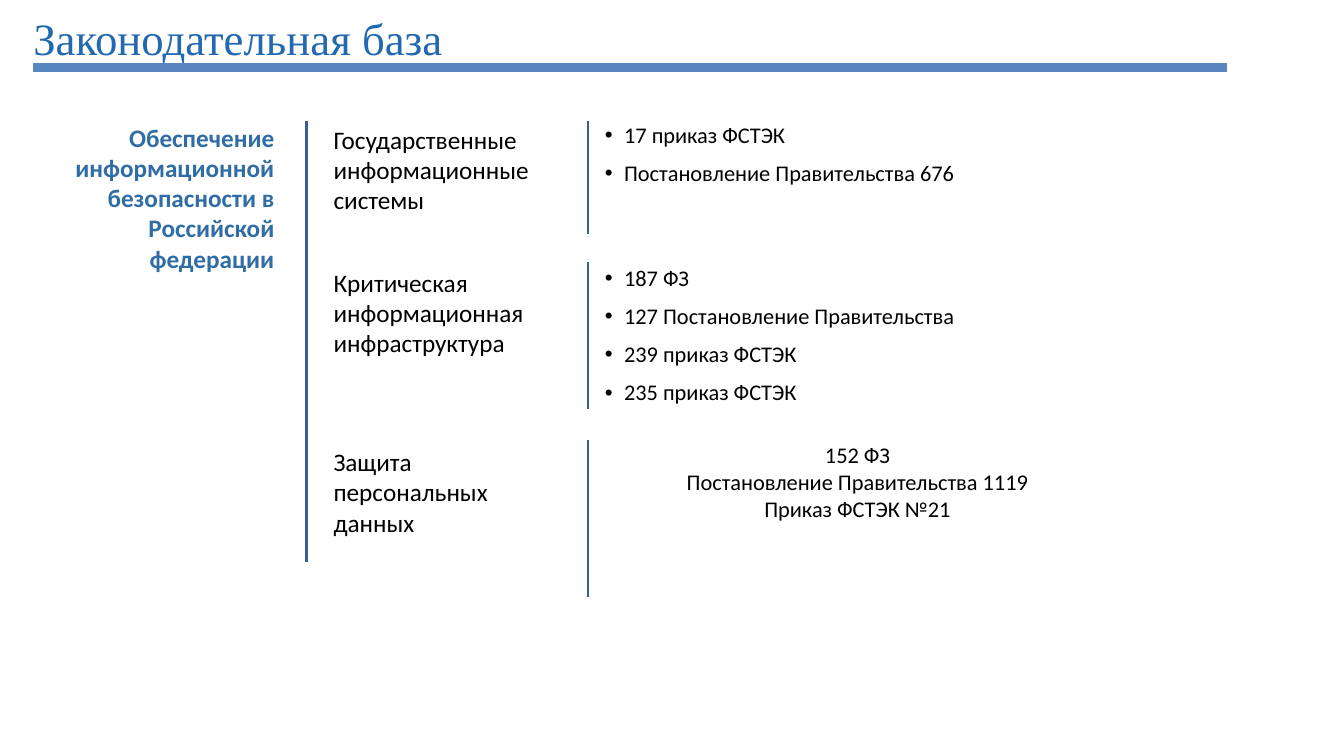
import pptx
import pptx.util
import pptx.dml.color
import pptx.enum.shapes
import pptx.enum.text
import pptx.oxml.ns
from lxml import etree

RGBColor = pptx.dml.color.RGBColor
PP_ALIGN = pptx.enum.text.PP_ALIGN

PX = 9144
TITLE_BLUE = RGBColor(0x23, 0x69, 0xB0)
BAR_BLUE = RGBColor(0x58, 0x87, 0xC0)
HEADING_BLUE = RGBColor(0x30, 0x6D, 0xA5)
RULE_BLUE = RGBColor(0x37, 0x60, 0x92)
BLACK = RGBColor(0, 0, 0)

LABEL_X, LABEL_W, LABEL_H = 321, 240, 83
LIST_X, LIST_W = 590, 521
RULE_X = 583


def px(n):
    return pptx.util.Emu(n * PX)


def write(tf, lines, size=18, font="Calibri", color=BLACK, bold=False,
          align=PP_ALIGN.LEFT, bullet=False, insets=(10, 5, 10, 5)):
    tf.word_wrap = True
    tf.auto_size = pptx.enum.text.MSO_AUTO_SIZE.NONE
    tf.vertical_anchor = pptx.enum.text.MSO_ANCHOR.TOP
    tf.margin_left, tf.margin_top, tf.margin_right, tf.margin_bottom = map(px, insets)
    for i, line in enumerate(lines):
        p = tf.add_paragraph() if i else tf.paragraphs[0]
        p.alignment = align
        if bullet:
            add_bullet(p)
            p.line_spacing = 0.9
        p.space_before = pptx.util.Pt(10 if bullet and i else 0)
        r = p.add_run()
        r.text = line
        r.font.size = pptx.util.Pt(size)
        r.font.name = font
        r.font.bold = bold
        r.font.color.rgb = color


def add_bullet(p):
    pPr = p._p.get_or_add_pPr()
    pPr.set("marL", str(px(19)))
    pPr.set("indent", str(-px(19)))
    qn = pptx.oxml.ns.qn
    etree.SubElement(pPr, qn("a:buFont")).set("typeface", "Arial")
    etree.SubElement(pPr, qn("a:buChar")).set("char", "•")


def add_text(s, x, y, w, h, lines, **fmt):
    sp = s.shapes.add_textbox(px(x), px(y), px(w), px(h))
    write(sp.text_frame, lines, **fmt)


def fill_placeholder(sp, x, y, w, h, lines, **fmt):
    sp.left, sp.top, sp.width, sp.height = px(x), px(y), px(w), px(h)
    write(sp.text_frame, lines, **fmt)


def add_rule(s, x1, y1, x2, y2, color=RULE_BLUE, width=1.5):
    c = s.shapes.add_connector(pptx.enum.shapes.MSO_CONNECTOR.STRAIGHT,
                               px(x1), px(y1), px(x2), px(y2))
    c.line.color.rgb = color
    c.line.width = pptx.util.Pt(width)
    etree.SubElement(c._element.spPr, pptx.oxml.ns.qn("a:effectLst"))


def main():
    prs = pptx.Presentation()
    prs.slide_width, prs.slide_height = px(1333), px(750)
    s = prs.slides.add_slide(prs.slide_layouts[3])

    fill_placeholder(s.shapes.title, 33, 6, 1129, 52, ["Законодательная база"],
                     size=32, font="Times New Roman", color=TITLE_BLUE,
                     insets=(0, 5, 0, 0))
    add_rule(s, 33, 67, 1217, 67, color=BAR_BLUE, width=6)

    add_text(s, 48, 116, 234, 162,
             ["Обеспечение информационной безопасности в Российской федерации"],
             color=HEADING_BLUE, bold=True, align=PP_ALIGN.RIGHT)
    add_rule(s, 304, 120, 304, 558)

    areas = [
        ("Государственные информационные системы", 118, 117, 120, 232),
        ("Критическая информационная инфраструктура", 260, 146, 260, 406),
        ("Защита персональных данных", 438, 154, 437, 592),
    ]
    for label, y, h, rule_top, rule_bottom in areas:
        add_text(s, LABEL_X, y, LABEL_W, LABEL_H, [label])
        add_rule(s, RULE_X, rule_top, RULE_X, rule_bottom)

    bulleted = [
        ["17 приказ ФСТЭК", "Постановление Правительства 676"],
        ["187 ФЗ", "127 Постановление Правительства",
         "239 приказ ФСТЭК", "235 приказ ФСТЭК"],
    ]
    for idx, (area, acts) in enumerate(zip(areas, bulleted), start=1):
        fill_placeholder(s.placeholders[idx], LIST_X, area[1], LIST_W, area[2],
                         acts, size=16, bullet=True)

    y, h = areas[2][1:3]
    add_text(s, LIST_X, y, LIST_W, h,
             ["152 ФЗ", "Постановление Правительства 1119", "Приказ ФСТЭК №21"],
             size=16, align=PP_ALIGN.CENTER, insets=(0, 0, 0, 0))

    prs.save("out.pptx")


if __name__ == "__main__":
    main()
